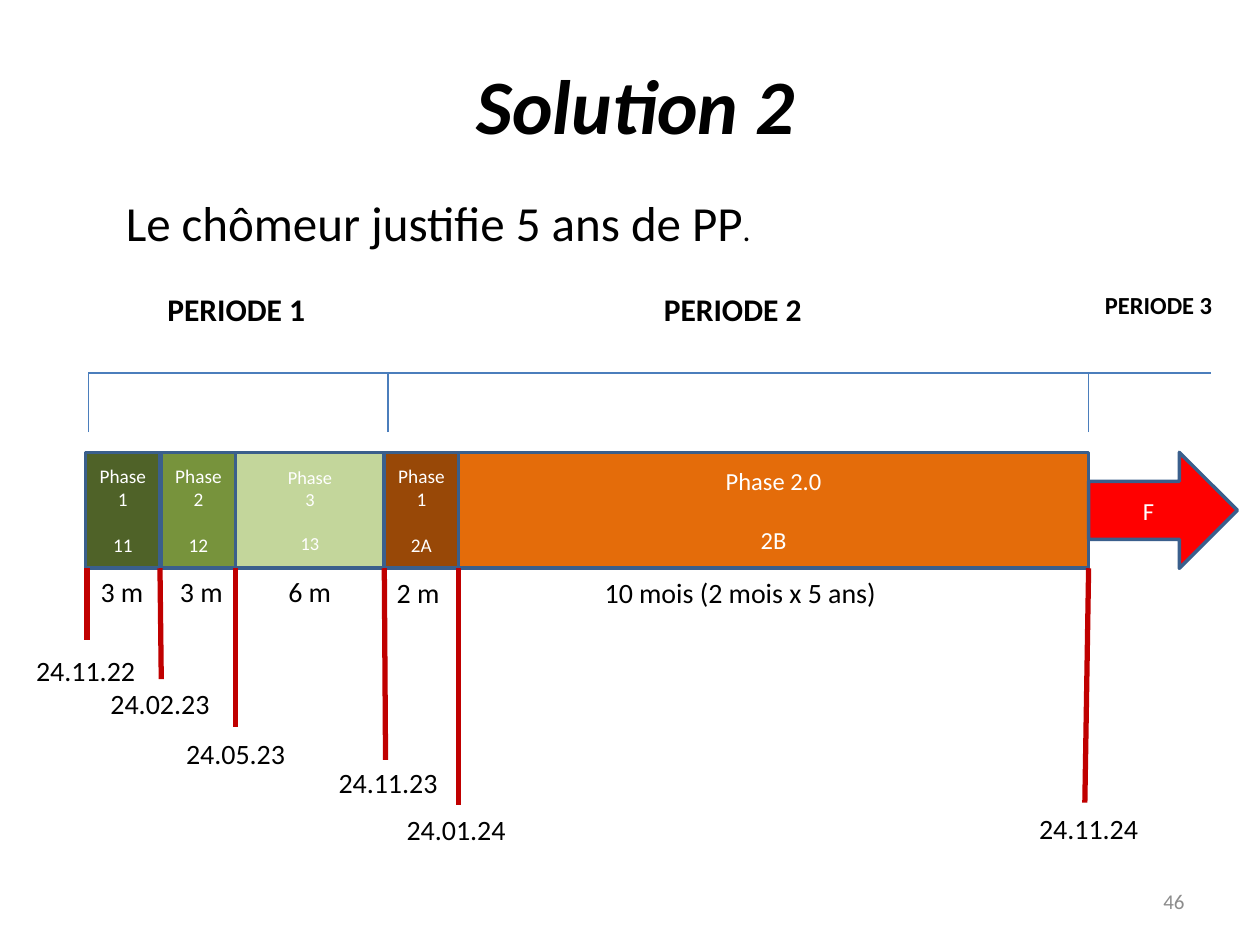
import pptx
import pptx.util
import pptx.dml.color
import pptx.enum.shapes
import pptx.enum.text
import pptx.oxml.ns
from dataclasses import dataclass
from lxml import etree

Inches = pptx.util.Inches
Pt = pptx.util.Pt
Align = pptx.enum.text.PP_ALIGN
Anchor = pptx.enum.text.MSO_ANCHOR
Shape = pptx.enum.shapes.MSO_SHAPE
Connector = pptx.enum.shapes.MSO_CONNECTOR


@dataclass(frozen=True)
class Theme:
    font: str = "Calibri"
    ink: str = "000000"
    light: str = "FFFFFF"
    muted: str = "8C8C8C"
    outline: str = "3A5F8C"
    bracket: str = "4B7EBC"
    marker: str = "C00000"
    arrow: str = "FF0000"
    greens: tuple = ("4F6228", "77933C", "C3D69B")
    browns: tuple = ("984807", "E46C0A")
    title: float = 44
    statement: float = 28
    period: float = 18
    label: float = 16
    small: float = 14
    page: float = 12
    phase: float = 11
    phase_small: float = 10.5


def rgb(value):
    return pptx.dml.color.RGBColor.from_string(value)


def add_words(paragraph, words, *, size, font=Theme.font, color=Theme.ink,
              bold=False, italic=False, align=Align.LEFT, before=0):
    paragraph.alignment = align
    paragraph.space_before = Pt(before)
    run = paragraph.add_run()
    run.text = words
    run.font.name = font
    run.font.size = Pt(size)
    run.font.color.rgb = rgb(color)
    run.font.bold = bold
    run.font.italic = italic


class TimelineSlide:
    def __init__(self, slide, theme):
        self.slide = slide
        self.theme = theme

    def title(self, words, left, top, width, height):
        heading = self.slide.shapes.title
        heading.left, heading.top = Inches(left), Inches(top)
        heading.width, heading.height = Inches(width), Inches(height)
        heading.text_frame.vertical_anchor = Anchor.TOP
        add_words(heading.text_frame.paragraphs[0], words,
                  size=self.theme.title, bold=True, italic=True)

    def label(self, words, left, top, width, height, anchor=Anchor.TOP, **style):
        box = self.slide.shapes.add_textbox(
            Inches(left), Inches(top), Inches(width), Inches(height))
        box.text_frame.word_wrap = True
        box.text_frame.vertical_anchor = anchor
        paragraph = box.text_frame.paragraphs[0]
        add_words(paragraph, words, **style)
        return paragraph

    def block(self, kind, lines, left, top, width, height, fill, size):
        block = self.slide.shapes.add_shape(
            kind, Inches(left), Inches(top), Inches(width), Inches(height))
        block.shadow.inherit = False
        block.fill.solid()
        block.fill.fore_color.rgb = rgb(fill)
        block.line.color.rgb = rgb(self.theme.outline)
        block.line.width = Pt(2)
        frame = block.text_frame
        frame.word_wrap = True
        frame.vertical_anchor = Anchor.MIDDLE
        for index, line in enumerate(lines):
            paragraph = frame.add_paragraph() if index else frame.paragraphs[0]
            is_code = index and index == len(lines) - 1
            add_words(paragraph, line, size=size, color=self.theme.light,
                      align=Align.CENTER, before=1.22 * size if is_code else 0)

    def line(self, x1, y1, x2, y2, color, width):
        line = self.slide.shapes.add_connector(
            Connector.STRAIGHT, Inches(x1), Inches(y1), Inches(x2), Inches(y2))
        line.line.color.rgb = rgb(color)
        line.line.width = Pt(width)
        properties = line._element.spPr
        etree.SubElement(properties, pptx.oxml.ns.qn("a:effectLst"))


def main():
    theme = Theme()
    deck = pptx.Presentation()
    deck.slide_width, deck.slide_height = Inches(10), Inches(7.5)
    page = TimelineSlide(deck.slides.add_slide(deck.slide_layouts[5]), theme)

    page.title("Solution 2", 3.68, 0.41, 4.77, 0.84)
    statement = page.label("Le chômeur justifie 5 ans de PP", 0.9, 1.48, 7.73, 0.57,
                           size=theme.statement)
    add_words(statement, ".", size=theme.period)

    bracket_top = 2.96
    for x in (0.7, 3.08, 8.64):
        page.line(x, 3.43, x, bracket_top, theme.bracket, 0.75)
    page.line(0.7, bracket_top, 9.61, bracket_top, theme.bracket, 0.75)

    periods = (
        ("PERIODE 1", 0.78, 2.19, theme.period, Align.CENTER),
        ("PERIODE 2", 3.12, 5.39, theme.period, Align.CENTER),
        ("PERIODE 3", 8.67, 1.09, theme.small, Align.LEFT),
    )
    for period, left, width, size, align in periods:
        page.label(period, left, 2.25, width, 0.5, size=size, bold=True, align=align)

    bar_top, bar_height = 3.59, 0.92
    bar_bottom = bar_top + bar_height
    phases = (
        (("Phase 1", "11"), 0.68, 0.59, theme.greens[0], theme.phase),
        (("Phase2", "12"), 1.28, 0.59, theme.greens[1], theme.phase),
        (("Phase", "3", "13"), 1.87, 1.18, theme.greens[2], theme.phase_small),
        (("Phase 1", "2A"), 3.05, 0.59, theme.browns[0], theme.phase),
        (("Phase 2.0", "2B"), 3.64, 5, theme.browns[1], theme.small),
    )
    for lines, left, width, fill, size in phases:
        page.block(Shape.RECTANGLE, lines, left, bar_top, width, bar_height, fill, size)
    page.block(Shape.RIGHT_ARROW, ("F",), 8.64, bar_top, 1.18, bar_height,
               theme.arrow, theme.small)

    durations = (
        ("3 m", 0.7, 4.51, 0.57, Align.LEFT),
        ("3 m", 1.33, 4.51, 0.57, Align.LEFT),
        ("6 m", 2.19, 4.51, 0.57, Align.LEFT),
        ("2 m", 3.05, 4.52, 0.57, Align.LEFT),
        ("10 mois (2 mois x 5 ans)", 3.57, 4.52, 4.61, Align.CENTER),
    )
    for duration, left, top, width, align in durations:
        page.label(duration, left, top, width, 0.37, size=theme.label, align=align)

    milestones = (
        ("24.11.22", 0.69, 0.69, 5.08, 0.16, 5.14),
        ("24.02.23", 1.27, 1.28, 5.39, 0.75, 5.4),
        ("24.05.23", 1.87, 1.87, 5.77, 1.35, 5.8),
        ("24.11.23", 3.05, 3.06, 6.03, 2.56, 6.03),
        ("24.01.24", 3.64, 3.64, 6.39, 3.1, 6.4),
        ("24.11.24", 8.64, 8.61, 6.37, 8.12, 6.39),
    )
    for date, start_x, end_x, end_y, left, top in milestones:
        page.line(start_x, bar_bottom, end_x, end_y, theme.marker, 3)
        page.label(date, left, top, 1.04, 0.37, size=theme.label, align=Align.CENTER)

    page.label("46", 7.17, 6.95, 2.33, 0.4, anchor=Anchor.MIDDLE,
               size=theme.page, color=theme.muted, align=Align.RIGHT)
    deck.save("out.pptx")


if __name__ == "__main__":
    main()
